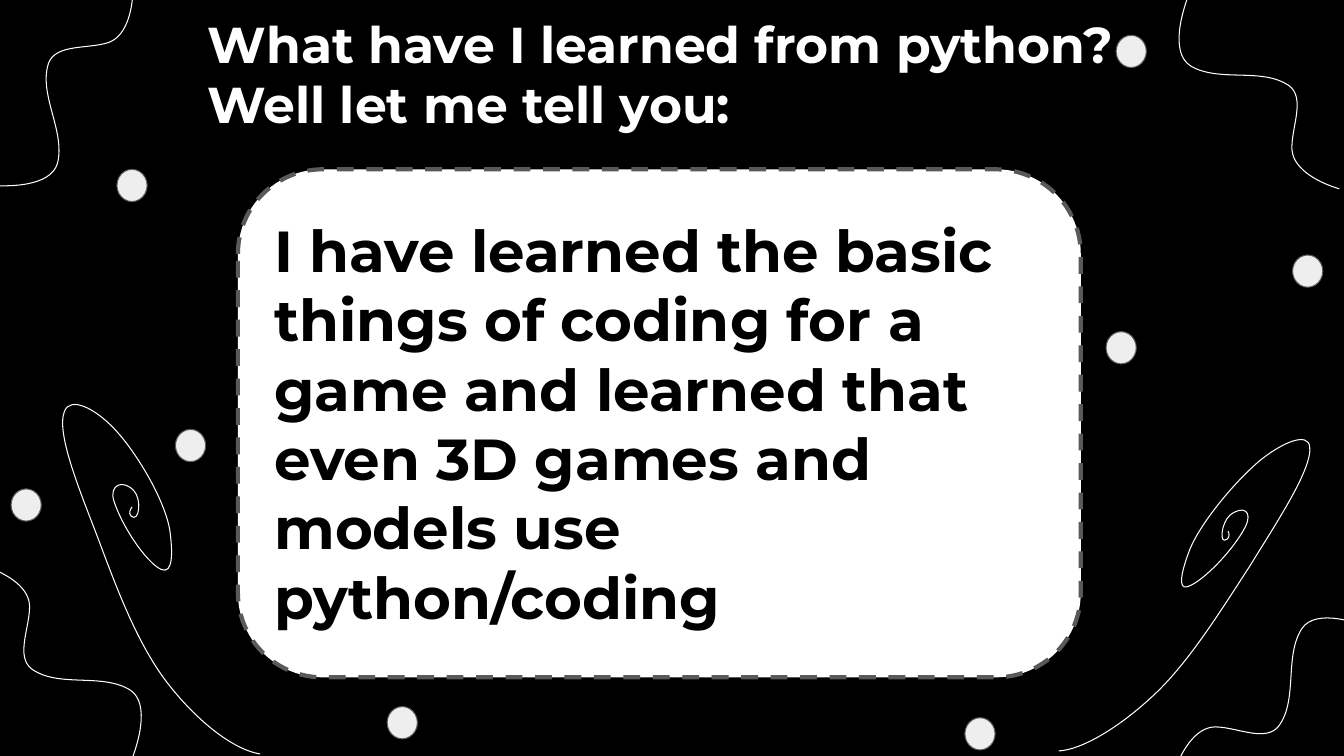
from dataclasses import dataclass

from lxml.etree import SubElement
from pptx import Presentation
from pptx.dml.color import RGBColor
from pptx.enum.dml import MSO_LINE
from pptx.enum.shapes import MSO_SHAPE
from pptx.enum.text import MSO_AUTO_SIZE
from pptx.oxml.ns import qn
from pptx.util import Inches, Pt


@dataclass(frozen=True)
class Theme:
    font: str = "Montserrat"
    night: RGBColor = RGBColor(0x00, 0x00, 0x00)
    paper: RGBColor = RGBColor(0xFF, 0xFF, 0xFF)
    dot: RGBColor = RGBColor(0xEE, 0xEE, 0xEE)
    edge: RGBColor = RGBColor(0x59, 0x59, 0x59)
    title_size: float = 36
    body_size: float = 41.3
    thin: float = 0.75
    thick: float = 3


THEME = Theme()

WAVE = [
    (1.52, 0.03),
    (1.26, 0), (0.82, 0), (0.75, 0.24),
    (0.67, 0.56), (0.94, 0.92), (0.84, 1.23),
    (0.77, 1.43), (0.44, 1.37), (0.24, 1.44),
    (0.05, 1.51), (0, 1.8), (0, 2),
]
CORNER_WAVES = [
    (-0.2, 5.63, 107.1),
    (11.92, 5.96, 18.5),
    (-0.2, -0.14, 180),
    (11.78, -0.14, 286.5),
]
LEFT_TENDRIL = [
    (2.58, 7.48),
    (2.33, 7.44), (1.98, 7.18), (1.68, 6.8),
    (1.37, 6.41), (1.16, 5.84), (0.98, 5.36),
    (0.81, 4.91), (0.55, 4.3), (0.64, 4.08),
    (0.7, 3.93), (0.94, 4.05), (1.13, 4.25),
    (1.36, 4.49), (1.66, 5), (1.69, 5.3),
    (1.71, 5.47), (1.72, 5.7), (1.6, 5.65),
    (1.45, 5.58), (1.21, 5.22), (1.13, 4.97),
    (1.08, 4.81), (1.22, 4.75), (1.33, 4.87),
    (1.41, 4.96), (1.38, 5.19), (1.3, 5.12),
    (1.27, 5.09), (1.3, 5.04), (1.31, 5.03),
]
RIGHT_TENDRIL = [
    (10.5, 7.45),
    (10.72, 7.44), (11.09, 7.23), (11.45, 6.89),
    (11.8, 6.56), (12.12, 6.04), (12.4, 5.61),
    (12.65, 5.2), (13.02, 4.65), (12.99, 4.43),
    (12.97, 4.29), (12.74, 4.38), (12.52, 4.55),
    (12.27, 4.75), (11.89, 5.2), (11.79, 5.48),
    (11.73, 5.64), (11.67, 5.86), (11.78, 5.82),
    (11.93, 5.77), (12.23, 5.46), (12.35, 5.23),
    (12.43, 5.07), (12.33, 5.01), (12.2, 5.11),
    (12.11, 5.19), (12.09, 5.41), (12.17, 5.35),
    (12.2, 5.33), (12.19, 5.28), (12.18, 5.27),
]
DOTS = [
    (12.82, 2.53), (1.74, 4.26), (3.84, 7.01), (11.07, 0.35),
    (1.16, 1.68), (9.57, 7.12), (0.11, 4.85), (10.97, 3.29),
]


def add_curve(slide, left, top, points, turn=0):
    start, *controls = [(Inches(left + x), Inches(top + y)) for x, y in points]
    builder = slide.shapes.build_freeform(*start)
    builder.add_line_segments(controls, close=False)
    curve = builder.convert_to_shape()
    outline = curve._element.find(".//" + qn("a:path"))
    steps = outline.findall(qn("a:lnTo"))
    for first in range(0, len(steps), 3):
        bend = SubElement(outline, qn("a:cubicBezTo"))
        for step in steps[first:first + 3]:
            bend.append(step[0])
            outline.remove(step)
    curve.rotation = turn
    curve.shadow.inherit = False
    curve.fill.background()
    curve.line.color.rgb = THEME.paper
    curve.line.width = Pt(THEME.thin)


def add_outlined(slide, kind, left, top, width, height, fill, weight):
    outlined = slide.shapes.add_shape(
        kind, Inches(left), Inches(top), Inches(width), Inches(height))
    outlined.shadow.inherit = False
    outlined.fill.solid()
    outlined.fill.fore_color.rgb = fill
    outlined.line.color.rgb = THEME.edge
    outlined.line.width = Pt(weight)
    return outlined


def add_words(slide, left, top, width, height, words, size, color):
    box = slide.shapes.add_textbox(
        Inches(left), Inches(top), Inches(width), Inches(height))
    frame = box.text_frame
    frame.word_wrap = True
    frame.margin_left = frame.margin_right = Inches(0.13)
    frame.margin_top = frame.margin_bottom = Inches(0.13)
    paragraph = frame.paragraphs[0]
    paragraph.text = words
    paragraph.font.name = THEME.font
    paragraph.font.size = Pt(size)
    paragraph.font.bold = True
    paragraph.font.color.rgb = color
    return frame


def add_title(slide, left, top, width, height):
    add_words(slide, left, top, width, height,
              "What have I learned from python? Well let me tell you:",
              THEME.title_size, THEME.paper)


def add_scenery(slide, left, top):
    for x, y, turn in CORNER_WAVES:
        add_curve(slide, left + x, top + y, WAVE, turn)
    for tendril in (LEFT_TENDRIL, RIGHT_TENDRIL):
        add_curve(slide, left, top, tendril)


def add_answer(slide, left, top, width, height):
    card = add_outlined(slide, MSO_SHAPE.FLOWCHART_ALTERNATE_PROCESS,
                        left, top, width, height, THEME.paper, THEME.thick)
    card.line.dash_style = MSO_LINE.DASH
    frame = add_words(
        slide, left + 0.23, top + 0.32, width - 0.47, height - 0.89,
        "I have learned the basic things of coding for a game and learned "
        "that even 3D games and models use python/coding",
        THEME.body_size, THEME.night)
    frame.auto_size = MSO_AUTO_SIZE.SHAPE_TO_FIT_TEXT


def add_dots(slide, left, top):
    for x, y in DOTS:
        add_outlined(slide, MSO_SHAPE.OVAL, left + x, top + y, 0.3, 0.32,
                     THEME.dot, THEME.thin)


def main():
    deck = Presentation()
    deck.slide_width = Inches(13.33)
    deck.slide_height = Inches(7.5)
    slide = deck.slides.add_slide(deck.slide_layouts[6])
    slide.background.fill.solid()
    slide.background.fill.fore_color.rgb = THEME.night
    add_title(slide, 1.93, 0, 9.85, 1.73)
    add_scenery(slide, 0, 0)
    add_answer(slide, 2.36, 1.68, 8.36, 5.04)
    add_dots(slide, 0, 0)
    deck.save("out.pptx")


if __name__ == "__main__":
    main()
